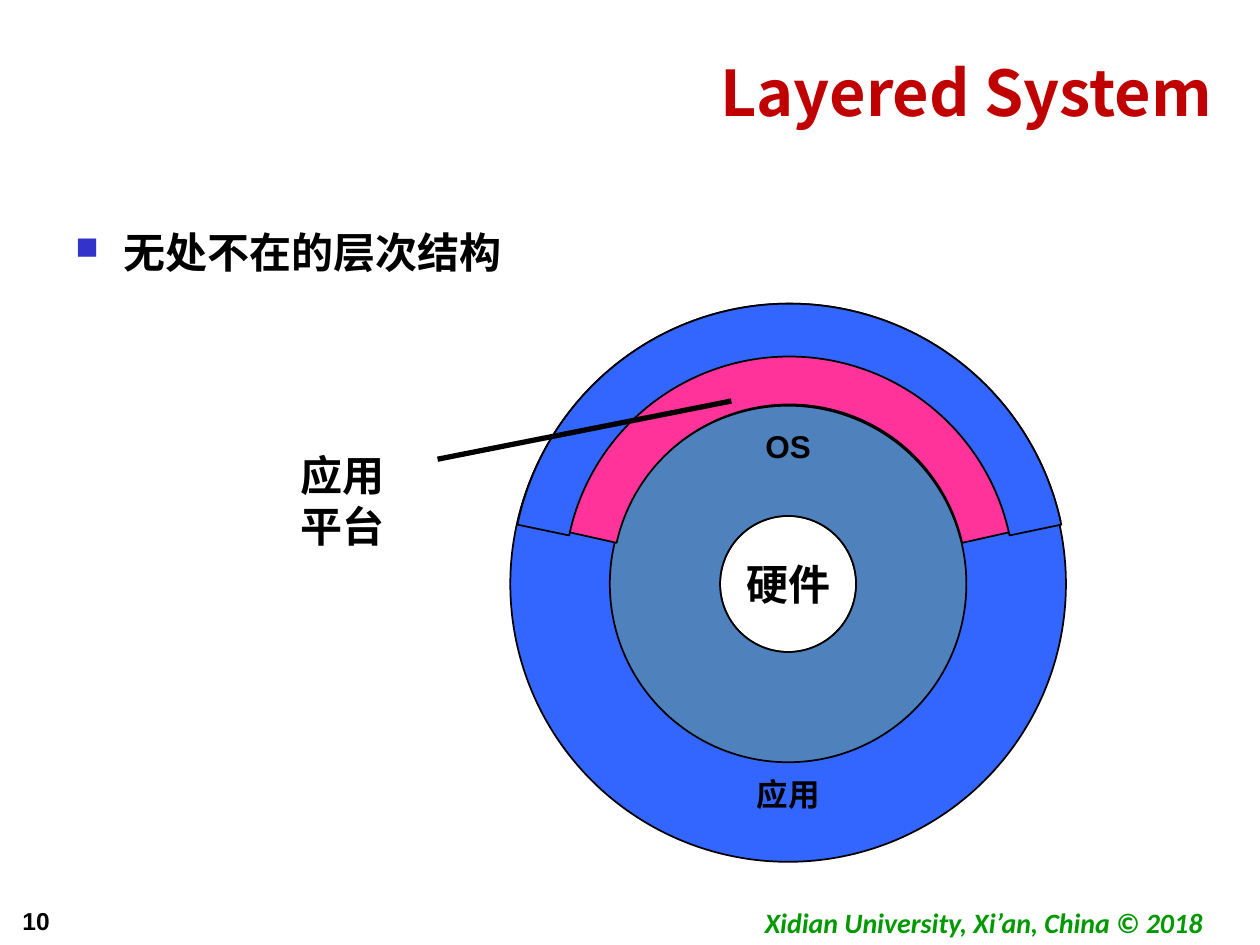
from lxml import etree
from pptx import Presentation
from pptx.dml.color import RGBColor as Rgb
from pptx.enum.shapes import MSO_SHAPE as Kind
from pptx.enum.text import MSO_ANCHOR as Anchor, PP_ALIGN as Align
from pptx.oxml.ns import qn
from pptx.util import Inches, Pt

HUES = {
    "ink": "000000", "title": "C00000", "foot": "009900", "mark": "3333CC",
    "app": "3366FF", "os": "4F81BD", "base": "FF3399",
}
CJK = "Noto Sans CJK SC"


def hue(name):
    return Rgb.from_string(HUES[name])


def write(shape, text, size=24, font=CJK, color="ink", align=Align.LEFT,
          anchor=Anchor.TOP, wrap=True, italic=False, space=1):
    """Fill a shape with bold text, one paragraph per line."""
    frame = shape.text_frame
    frame.text = text
    frame.word_wrap = wrap
    frame.vertical_anchor = anchor
    for para in frame.paragraphs:
        para.alignment = align
        para.line_spacing = space
        for run in para.runs:
            face = run.font
            face.name, face.size = font, Pt(size)
            face.bold, face.italic = True, italic
            face.color.rgb = hue(color)
            east = etree.SubElement(run._r.get_or_add_rPr(), qn("a:ea"))
            east.set("typeface", CJK)
    return frame


def label(slide, box, text, **style):
    return write(slide.shapes.add_textbox(*map(Inches, box)), text, **style)


def draw(slide, kind, box, adjust, fill=None, width=1):
    """Add an outlined preset shape, hollow when it has no fill."""
    shape = slide.shapes.add_shape(kind, *map(Inches, box))
    shape.shadow.inherit = False
    for i, value in enumerate(adjust):
        shape.adjustments[i] = value
    if fill:
        shape.fill.solid()
        shape.fill.fore_color.rgb = hue(fill)
    else:
        shape.fill.background()
    shape.line.color.rgb = hue("ink")
    shape.line.width = Pt(width)
    return shape


def head(slide, box, text):
    title = slide.shapes.title
    title.left, title.top, title.width, title.height = map(Inches, box)
    write(title, text, size=36, color="title", align=Align.RIGHT,
          anchor=Anchor.MIDDLE)


def point(slide, box, text):
    """Square-bulleted line with a hanging indent."""
    frame = label(slide, box, text, font="Times New Roman")
    props = frame.paragraphs[0]._p.get_or_add_pPr()
    props.set("marL", str(Inches(0.38)))
    props.set("indent", str(-Inches(0.38)))
    color = etree.SubElement(props, qn("a:buClr"))
    etree.SubElement(color, qn("a:srgbClr")).set("val", HUES["mark"])
    etree.SubElement(props, qn("a:buSzPct")).set("val", "75000")
    etree.SubElement(props, qn("a:buChar")).set("char", "■")


def rings(slide, box):
    """Nested system layers around the hardware core."""
    left, top, side, _ = box
    mid = left + side / 2
    core = 1.08
    inner = 2.83

    def ring(size, fill):
        gap = (side - size) / 2
        return draw(slide, Kind.DONUT, (left + gap, top + gap, size, size),
                    [(size - core) / 2 / size], fill)

    def arc(tilt, depth, fill):
        # Angles are in units of 100000 / 60000 degrees
        turns = [(180 + tilt) * 0.6, (360 - tilt) * 0.6]
        draw(slide, Kind.BLOCK_ARC, (left + 0.01, top - 0.02, side, side),
             turns + [depth / side], fill)

    def tag(y, text):
        label(slide, (mid - 0.87, top + y, 1.74, 0.63), text, size=18,
              font="Arial", align=Align.CENTER)

    # Full rings
    write(ring(side, "app"), "硬件", align=Align.CENTER,
          anchor=Anchor.MIDDLE, wrap=False)
    ring(inner, "os")
    tag(0.91, "OS")

    # Upper arcs: platform below, application above
    arc(12.6, 0.8, "base")
    tag(3.67, "应用")
    arc(11.8, 0.42, "app")


def callout(slide, box, text):
    shape = draw(slide, Kind.LINE_CALLOUT_1_NO_BORDER, box,
                 [0.137, 1.062, -0.371, 2.802], width=3)
    write(shape, text, align=Align.CENTER)


def foot(slide, box):
    left, top, width, height = box
    label(slide, (left, top + 0.03, 0.59, 0.34), "10", size=14, font="Arial")
    label(slide, (left + width - 4.06, top, 4.06, height),
          "Xidian University, Xi’an, China © 2018", size=16, font="Calibri",
          color="foot", align=Align.CENTER, anchor=Anchor.MIDDLE, wrap=False,
          italic=True, space=1.1)


def main():
    deck = Presentation()
    deck.slide_width, deck.slide_height = Inches(10), Inches(7.5)
    slide = deck.slides.add_slide(deck.slide_layouts[5])
    foot(slide, (0.08, 7.11, 9.76, 0.39))
    head(slide, (3.5, 0.3, 6.22, 0.85), "Layered System")
    point(slide, (0.5, 1.75, 9, 0.6), "无处不在的层次结构")
    rings(slide, (4.05, 2.43, 4.41, 4.41))
    callout(slide, (2.05, 3.52, 1.34, 0.91), "应用\n平台")
    deck.save("out.pptx")


if __name__ == "__main__":
    main()
